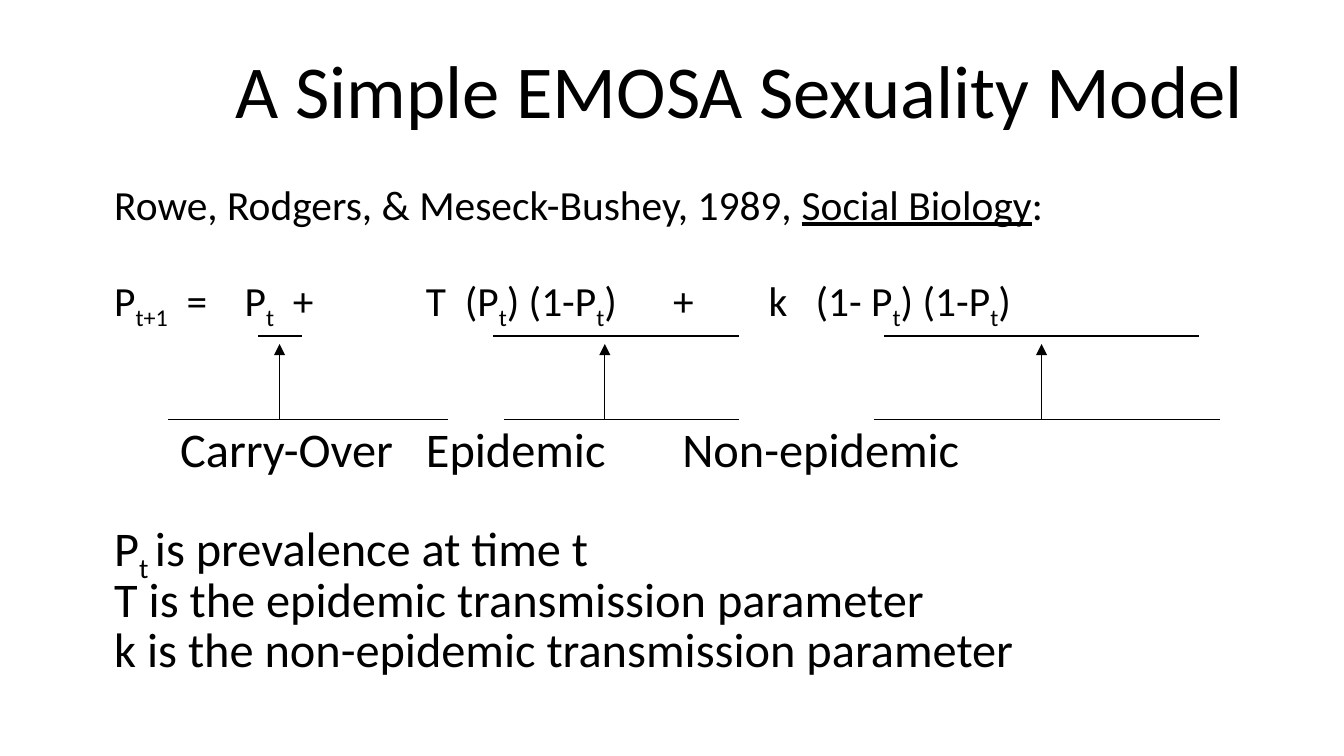
"""Build the slide that presents a simple EMOSA sexuality model."""
from dataclasses import dataclass
from typing import Any

from lxml.etree import SubElement
from pptx import Presentation
from pptx.dml.color import RGBColor
from pptx.enum.shapes import MSO_CONNECTOR
from pptx.enum.text import MSO_ANCHOR, MSO_AUTO_SIZE, PP_ALIGN
from pptx.oxml.ns import qn
from pptx.util import Inches, Pt

BLACK = "000000"
SMALL, LARGE = 22.2, 25.9
SPACE_EM = 0.226
UPPER_Y, ARROW_Y, LOWER_Y = 2.5, 2.56, 3.12


@dataclass
class Run:
    text: str
    subscript: bool = False
    underline: bool = False
    spaces: int = 1


@dataclass
class Line:
    runs: list[Run]
    size: float
    before: float
    indent: float = 0


@dataclass
class Term:
    upper: tuple[float, float]
    lower: tuple[float, float]
    arrow_x: float


def gap(spaces: int) -> Run:
    """Return one space stretched to the width of several."""
    return Run(" ", spaces=spaces)


SUB_T = Run("t", subscript=True)

LINES = [
    Line([Run("Rowe, Rodgers, & Meseck-Bushey, 1989, "),
          Run("Social Biology", underline=True), Run(":")], SMALL, 4.4),
    Line([Run("P"), Run("t+1", subscript=True), gap(2), Run("="), gap(4), Run("P"), SUB_T,
          gap(2), Run("+"), gap(12), Run("T"), gap(2), Run("(P"), SUB_T,
          Run(") (1-P"), SUB_T, Run(")"), gap(6), Run("+"), gap(8), Run("k"), gap(3),
          Run("(1- P"), SUB_T, Run(") (1-P"), SUB_T, Run(")")], SMALL, 30.9),
    Line([Run("Carry-Over"), gap(3), Run("Epidemic"), gap(7), Run("Non-epidemic")],
         LARGE, 59.2, 0.49),
    Line([Run("P"), Run("t ", subscript=True), Run("is prevalence at time t")], LARGE, 28.8),
    Line([Run("T is the epidemic transmission parameter")], LARGE, 5),
    Line([Run("k is the non-epidemic transmission parameter")], LARGE, 5),
]

TERMS = [
    Term((1.92, 2.25), (1.25, 3.33), 2.08),
    Term((3.67, 5.5), (3.75, 5.5), 4.5),
    Term((6.58, 8.92), (6.5, 9.08), 7.75),
]


def apply(target: Any, formats: dict[str, Any]) -> None:
    """Set each named attribute on the target."""
    for name, value in formats.items():
        setattr(target, name, value)


def paint(color_format: Any, color: str) -> None:
    """Give a color format a hex color."""
    color_format.rgb = RGBColor.from_string(color)


def place(sp: Any, left: float, top: float, width: float, height: float,
          anchor: MSO_ANCHOR) -> Any:
    """Move a placeholder and return its text frame."""
    apply(sp, {"left": Inches(left), "top": Inches(top),
               "width": Inches(width), "height": Inches(height)})
    tf = sp.text_frame
    apply(tf, {"word_wrap": True, "auto_size": MSO_AUTO_SIZE.NONE,
               "vertical_anchor": anchor})
    return tf


def add_run(p: Any, run: Run, size: float) -> None:
    """Add one formatted run to a paragraph."""
    r = p.add_run()
    r.text = run.text
    apply(r.font, {"name": "Calibri", "size": Pt(size)})
    paint(r.font.color, BLACK)
    if run.underline:
        r.font.underline = True
    if run.subscript:
        r.font._element.set("baseline", "-25000")
    if run.spaces > 1:
        extra = (run.spaces - 1) * SPACE_EM * size
        r.font._element.set("spc", str(round(extra * 100)))


def fill_line(p: Any, line: Line) -> None:
    """Write a body line without a bullet."""
    apply(p, {"line_spacing": 0.7, "space_before": Pt(line.before)})
    pPr = p._p.get_or_add_pPr()
    pPr.set("marL", str(Inches(line.indent)))
    pPr.set("indent", "0")
    SubElement(pPr, qn("a:buNone"))
    for run in line.runs:
        add_run(p, run, line.size)


def add_line(s: Any, x1: float, y1: float, x2: float, y2: float,
             arrow: bool = False) -> None:
    """Draw a thin line, with an arrowhead at its end if asked."""
    sp = s.shapes.add_connector(MSO_CONNECTOR.STRAIGHT, Inches(x1), Inches(y1),
                                Inches(x2), Inches(y2))
    sp.line.width = Pt(0.75)
    sp.line.fill.solid()
    paint(sp.line.color, BLACK)
    if arrow:
        SubElement(sp.line._get_or_add_ln(), qn("a:tailEnd"), type="triangle")
    SubElement(sp._element.spPr, qn("a:effectLst"))


def draw_term(s: Any, term: Term) -> None:
    """Draw the two rules of a model term and the arrow between them."""
    for (start, end), y in ((term.upper, UPPER_Y), (term.lower, LOWER_Y)):
        add_line(s, start, y, end, y)
    add_line(s, term.arrow_x, LOWER_Y, term.arrow_x, ARROW_Y, arrow=True)


def main() -> None:
    """Build and save the slide."""
    prs = Presentation()
    apply(prs, {"slide_width": Inches(10), "slide_height": Inches(10 * 9 / 16)})
    s = prs.slides.add_slide(prs.slide_layouts[1])
    title = place(s.shapes.title, 1, 0.19, 9, 0.94, MSO_ANCHOR.MIDDLE)
    p = title.paragraphs[0]
    p.alignment = PP_ALIGN.CENTER
    add_run(p, Run("A Simple EMOSA Sexuality Model"), 40)
    body = place(s.placeholders[1], 0.75, 1.38, 9.08, 3.97, MSO_ANCHOR.TOP)
    for i, line in enumerate(LINES):
        fill_line(body.add_paragraph() if i else body.paragraphs[0], line)
    for term in TERMS:
        draw_term(s, term)
    prs.save("out.pptx")


if __name__ == "__main__":
    main()
